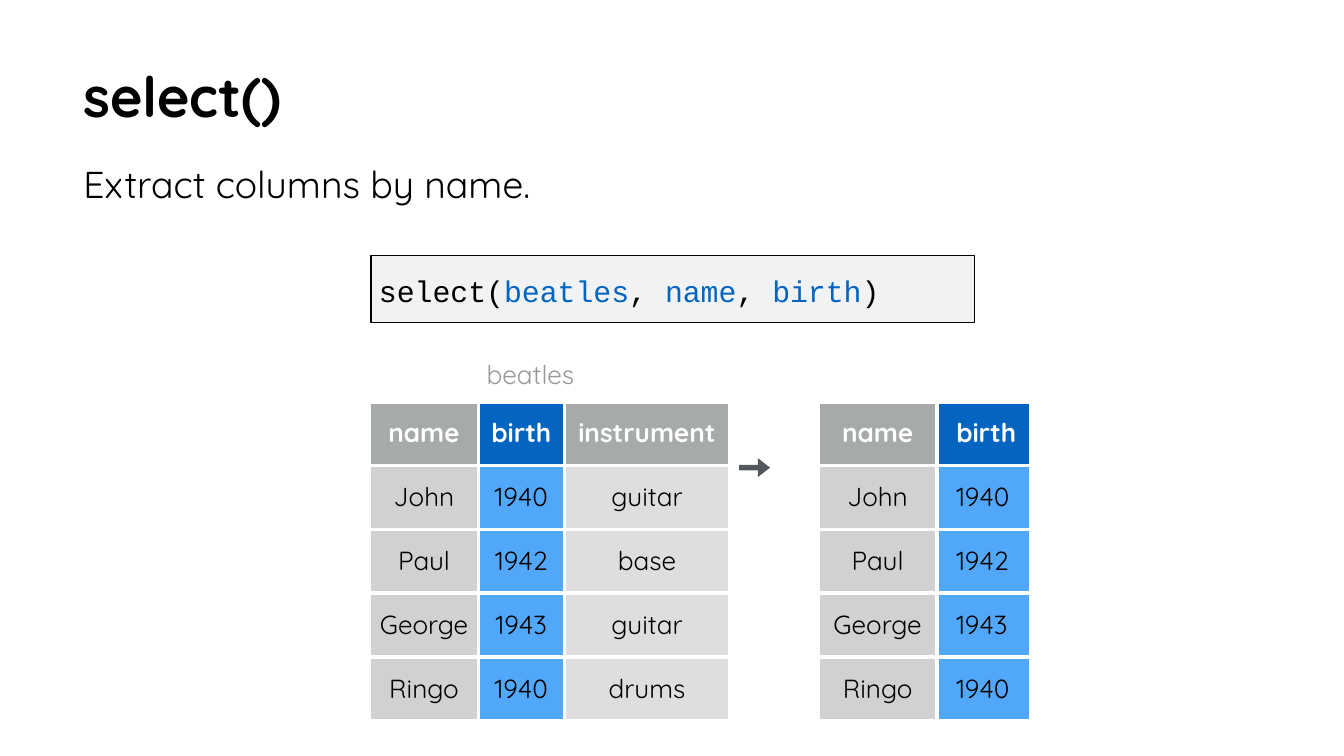
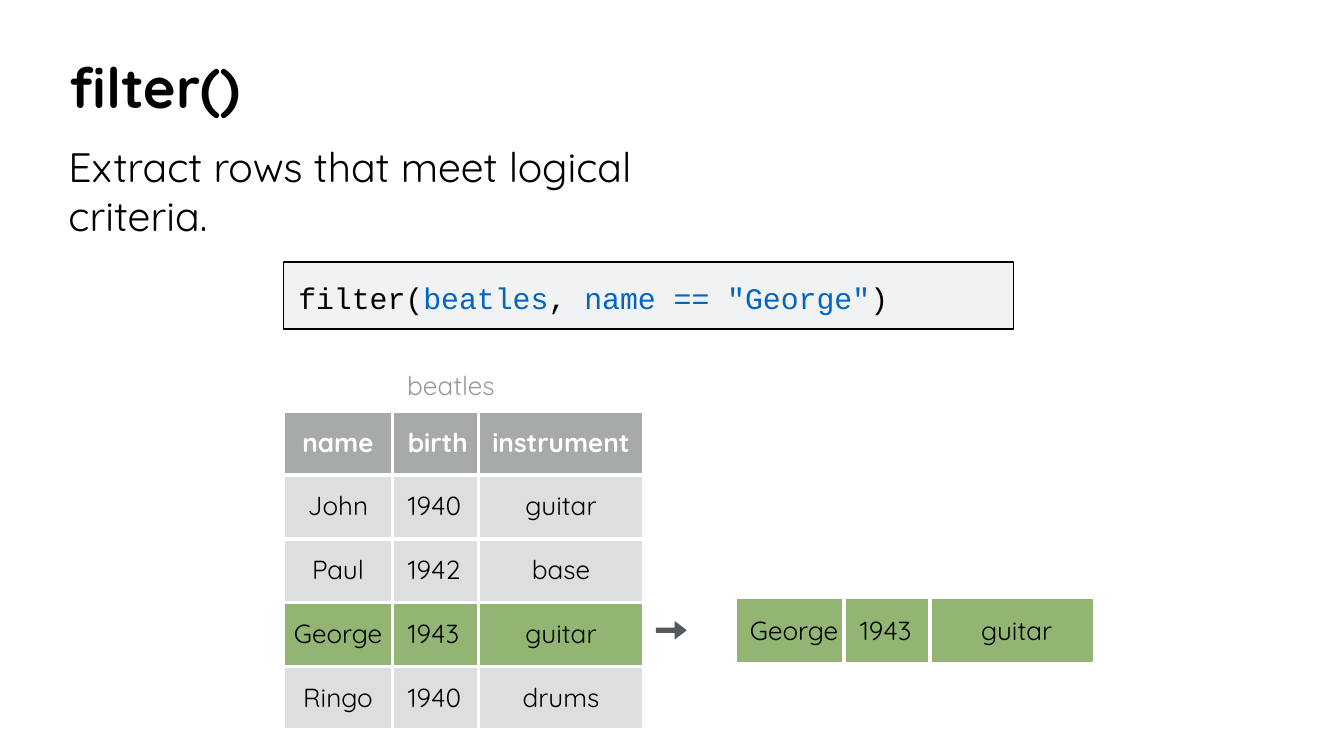
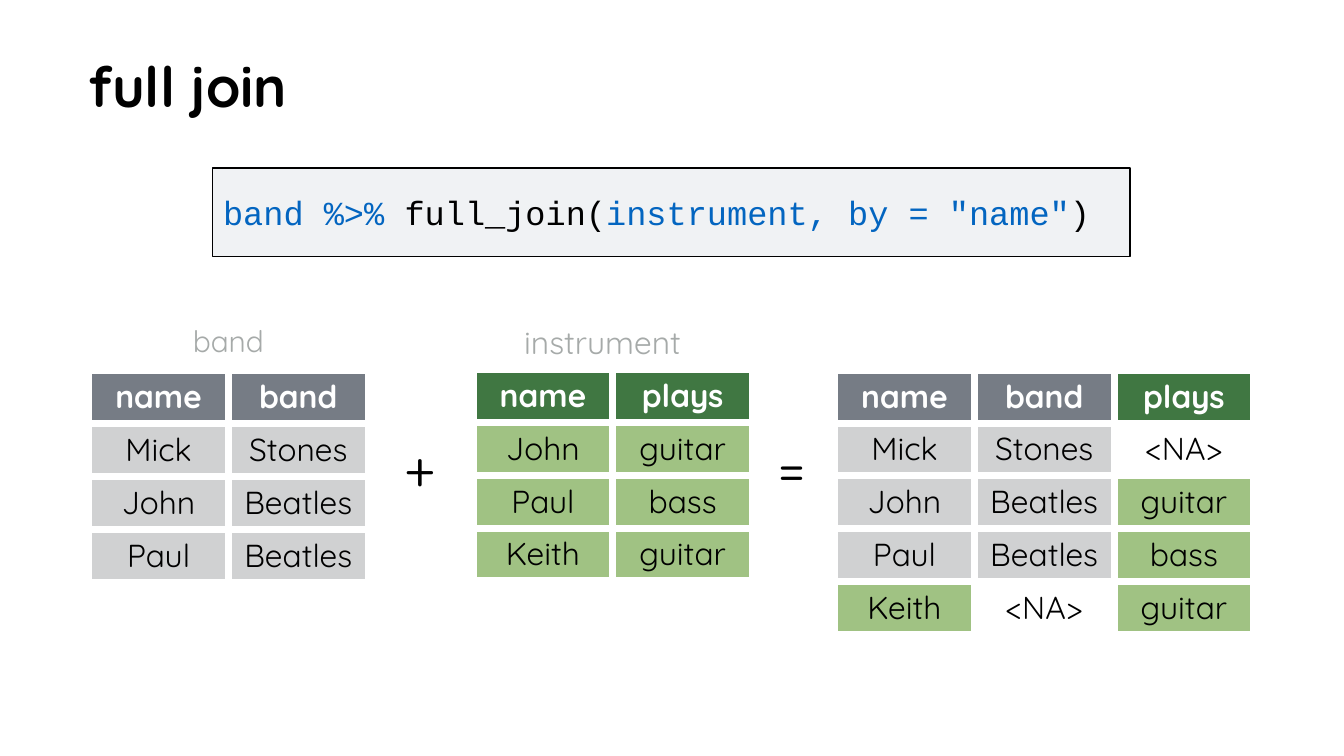
from lxml import etree
from pptx import Presentation, util as u
from pptx.dml.color import RGBColor
from pptx.enum import shapes, text
from pptx.oxml.ns import qn

# The slide is laid out on a grid of square units, 100 columns wide.
COLUMNS, ROWS = 100, 56.25
UNIT = u.Inches(0.1)

SANS, MONO = "Quicksand", "Courier New"
COLORS = {
    "ink": "000000", "paper": "FFFFFF", "code": "F0F2F4", "argument": "0365C0",
    "arrow": "53585F", "label": "999999", "join label": "A6AAA9",
    "head": "A6AAA9", "name": "D0D1D2", "plain": "DCDEE0",
    "picked head": "0365C0", "picked column": "51A7F9", "picked row": "92B573",
    "band head": "767C85", "plays head": "407742", "plays": "A0C283",
}
LEFT, CENTER = text.PP_ALIGN.LEFT, text.PP_ALIGN.CENTER

BEATLES = [
    ("name", "birth", "instrument"),
    ("John", "1940", "guitar"),
    ("Paul", "1942", "base"),
    ("George", "1943", "guitar"),
    ("Ringo", "1940", "drums"),
]
BEATLES_WIDTHS = (8.1, 6.4, 12.3)
BAND = [("name", "band"), ("Mick", "Stones"), ("John", "Beatles"), ("Paul", "Beatles")]
INSTRUMENT = [("name", "plays"), ("John", "guitar"), ("Paul", "bass"), ("Keith", "guitar")]
JOINED = [
    ("name", "band", "plays"),
    ("Mick", "Stones", "<NA>"),
    ("John", "Beatles", "guitar"),
    ("Paul", "Beatles", "bass"),
    ("Keith", "<NA>", "guitar"),
]


def grid(*lengths):
    return [u.Emu(round(length * UNIT)) for length in lengths]


def color(name):
    return RGBColor.from_string(COLORS[name])


def write(frame, *runs, size, font=SANS, ink="ink", bold=False, align=LEFT, indent=0):
    """Fill a frame's first paragraph; a run is a string or a (string, colour) pair."""
    paragraph = frame.paragraphs[0]
    paragraph.alignment = align
    if indent:
        paragraph._p.get_or_add_pPr().set("marL", str(grid(indent)[0]))
    for item in runs:
        words, run_ink = (item, ink) if isinstance(item, str) else item
        run = paragraph.add_run()
        run.text = words
        run.font.name, run.font.size, run.font.bold = font, u.Pt(size), bold
        run.font.color.rgb = color(run_ink)


def set_margins(holder, side=0, top=0, bottom=0):
    holder.margin_left = holder.margin_right = grid(side)[0]
    holder.margin_top, holder.margin_bottom = grid(top, bottom)


def prepare(frame, **margins):
    frame.word_wrap = True
    frame.auto_size = text.MSO_AUTO_SIZE.NONE
    frame.vertical_anchor = text.MSO_ANCHOR.TOP
    set_margins(frame, **margins)


def add_titled_slide(deck, words, *box):
    slide = deck.slides.add_slide(deck.slide_layouts[5])
    title = slide.shapes.title
    title.left, title.top, title.width, title.height = grid(*box)
    prepare(title.text_frame, top=0.1)
    write(title.text_frame, words, size=30, bold=True)
    return slide


def add_words(slide, words, *box, margin=0.5, **style):
    frame = slide.shapes.add_textbox(*grid(*box)).text_frame
    prepare(frame, side=margin, top=margin, bottom=margin)
    write(frame, words, **style)


def add_code(slide, runs, *box, size=16, top=1.3, indent=0.6):
    panel = slide.shapes.add_shape(shapes.MSO_SHAPE.RECTANGLE, *grid(*box))
    panel.shadow.inherit = False
    panel.fill.solid()
    panel.fill.fore_color.rgb = color("code")
    panel.line.color.rgb = color("ink")
    panel.line.width = u.Pt(0.75)
    prepare(panel.text_frame, top=top)
    write(panel.text_frame, *runs, size=size, font=MONO, indent=indent)


def add_arrow(slide, left, top):
    outline = slide.shapes.build_freeform(14, 0, scale=UNIT / 10)
    outline.add_line_segments([(14, 5), (0, 5), (0, 9), (14, 9), (14, 14), (23, 7)], close=True)
    arrow = outline.convert_to_shape(*grid(left, top))
    arrow.shadow.inherit = False
    arrow.fill.solid()
    arrow.fill.fore_color.rgb = color("arrow")
    arrow.line.fill.background()


def add_borders(cell, points):
    properties = cell._tc.get_or_add_tcPr()
    for side in ("a:lnL", "a:lnR", "a:lnT", "a:lnB"):
        border = etree.SubElement(properties, qn(side), w=str(u.Pt(points)))
        fill = etree.SubElement(border, qn("a:solidFill"))
        etree.SubElement(fill, qn("a:srgbClr"), val=COLORS["paper"])


def add_data(slide, rows, left, top, widths, height, fills, heads=(), changes=None,
             indents=None, size=14, margin=1.1, border=2.25):
    """Draw rows with one fill per column; changes maps (row, column) to another fill or None."""
    changes, indents = changes or {}, indents or {}
    box = grid(left, top, sum(widths), height * len(rows))
    table = slide.shapes.add_table(len(rows), len(widths), *box).table
    table.first_row = table.horz_banding = False
    for column, width in zip(table.columns, widths):
        column.width = grid(width)[0]
    for r, row in enumerate(rows):
        table.rows[r].height = grid(height)[0]
        is_head = bool(heads) and r == 0
        for c, value in enumerate(row):
            cell = table.cell(r, c)
            set_margins(cell, top=margin)
            add_borders(cell, border)
            fill = changes.get((r, c), heads[c] if is_head else fills[c])
            if fill:
                cell.fill.solid()
                cell.fill.fore_color.rgb = color(fill)
            else:
                cell.fill.background()
            write(cell.text_frame, value, size=size, bold=is_head,
                  ink="paper" if is_head else "ink",
                  align=LEFT if c in indents else CENTER, indent=indents.get(c, 0))


def add_select(deck):
    slide = add_titled_slide(deck, "select()", 6.2, 4.5, 24.4, 6.3)
    add_words(slide, "Extract columns by name.", 6.2, 12, 48.2, 5, margin=0, size=20)
    add_code(slide, ["select(", ("beatles", "argument"), ", ", ("name", "argument"), ", ",
                     ("birth", "argument"), ")"], 27.6, 19, 44.9, 5)
    add_words(slide, "beatles", 35.7, 26.2, 8.5, 2.6, size=14, ink="label")
    add_arrow(slide, 55, 34.1)
    heads, fills = ("head", "picked head", "head"), ("name", "picked column", "plain")
    add_data(slide, BEATLES, 27.5, 29.9, BEATLES_WIDTHS, 4.75, fills, heads)
    selected = [row[:2] for row in BEATLES]
    add_data(slide, selected, 60.9, 29.9, (8.8, 7), 4.75, fills, heads, indents={1: 1.45})


def add_filter(deck):
    slide = add_titled_slide(deck, "filter()", 5.2, 3.8, 81, 6.7)
    add_words(slide, "Extract rows that meet logical criteria.", 4.6, 10, 53.7, 3.6, size=22)
    add_code(slide, ["filter(", ("beatles", "argument"), ", ",
                     ('name == "George"', "argument"), ")"], 21.1, 19.5, 54.3, 5, indent=1.1)
    add_words(slide, "beatles", 29.8, 27, 17.3, 2.6, size=14, ink="label")
    add_arrow(slide, 48.8, 46.2)
    george = 3
    picked = {(george, c): "picked row" for c in range(3)}
    add_data(slide, BEATLES, 21.1, 30.6, BEATLES_WIDTHS, 4.75, ["plain"] * 3, ["head"] * 3,
             changes=picked, indents={1: 1.15})
    add_data(slide, [BEATLES[george]], 54.7, 44.4, BEATLES_WIDTHS, 5, ["picked row"] * 3,
             indents={0: 1.1, 1: 1.2, 2: 3.8}, margin=1.3)


def add_full_join(deck):
    slide = add_titled_slide(deck, "full join", 6.6, 3.7, 24.8, 6.4)
    add_code(slide, [("band %>% ", "argument"), "full_join(",
                     ('instrument, by = "name"', "argument"), ")"],
             15.8, 12.5, 68.3, 6.6, size=18, top=1.8, indent=0.8)
    add_words(slide, "band", 11.5, 23.5, 11, 3.5, size=16, ink="join label", align=CENTER)
    add_words(slide, "instrument", 38.5, 23.5, 15, 2.3, size=17, ink="join label")
    for sign, left in (("+", 30.1), ("=", 57.9)):
        add_words(slide, sign, left, 32.1, 2.6, 5.1, margin=0, size=30)
    heads = ("band head", "band head", "plays head")
    fills = ("name", "name", "plays")
    missing = {(1, 2): None, (4, 0): "plays", (4, 1): None}
    for rows, left, top, columns, changes in (
        (BAND, 6.6, 27.6, (0, 1), None),
        (INSTRUMENT, 35.2, 27.5, (2, 2), None),
        (JOINED, 62.1, 27.55, (0, 1, 2), missing),
    ):
        add_data(slide, rows, left, top, [10.4] * len(columns), 3.93,
                 [fills[c] for c in columns], [heads[c] for c in columns],
                 changes=changes, size=17, margin=0.45, border=4.25)


def main():
    deck = Presentation()
    deck.slide_width, deck.slide_height = grid(COLUMNS, ROWS)
    add_select(deck)
    add_filter(deck)
    add_full_join(deck)
    deck.save("out.pptx")


if __name__ == "__main__":
    main()
